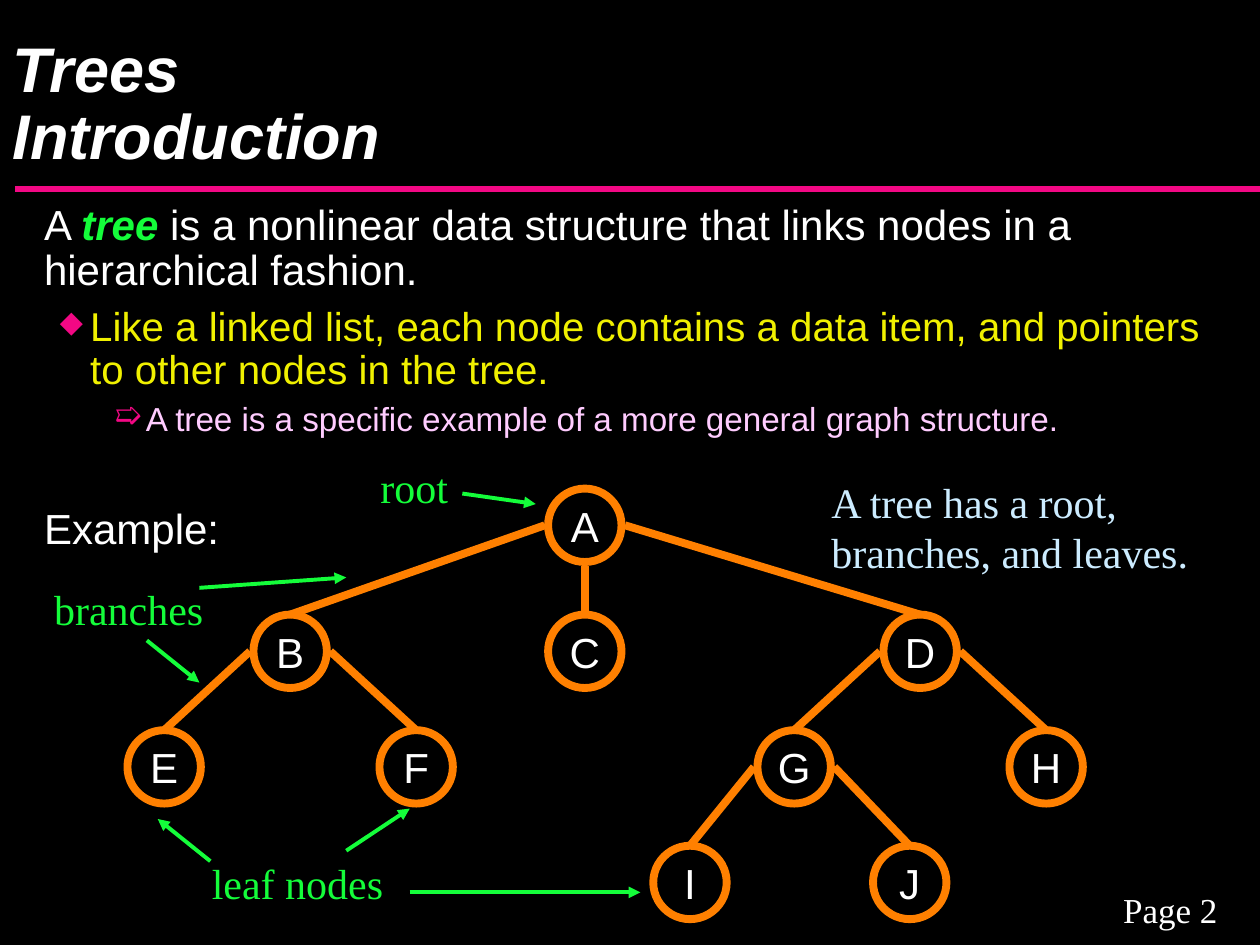
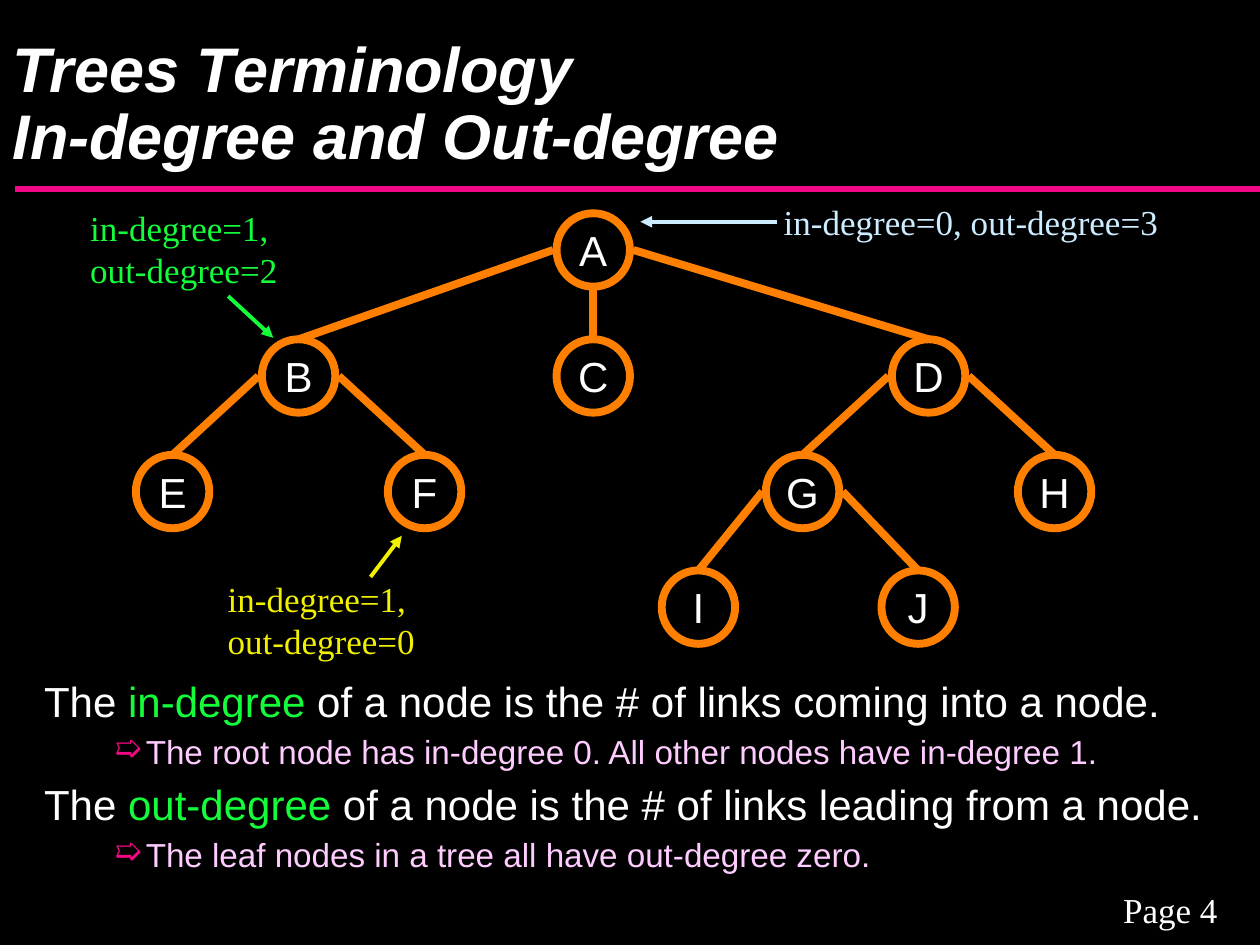
from dataclasses import dataclass

from lxml import etree
from pptx import Presentation
from pptx.dml.color import RGBColor
from pptx.enum import shapes, text
from pptx.oxml import ns
from pptx.util import Cm, Pt


@dataclass(frozen=True)
class Theme:
    black: str = "000000"
    white: str = "FFFFFF"
    pink: str = "F20884"
    green: str = "14FD3A"
    yellow: str = "F0F000"
    lilac: str = "FFCCFF"
    sky: str = "CCECFF"
    orange: str = "FF8000"
    sans: str = "Arial"
    serif: str = "Times New Roman"
    title: int = 36
    statement: int = 24
    point: int = 23
    detail: int = 19
    note: int = 20
    line_spacing: float = 0.89
    space_share: float = 0.3  # space before, as a share of the type size


THEME = Theme()

# level: (size, colour, left margin cm, hanging indent cm, bullet, bullet size %)
LEVELS = {
    "statement": (THEME.statement, THEME.white, 0.64, 0, None, None),
    "point": (THEME.point, THEME.yellow, 1.57, 0.61, "◆", 75),
    "detail": (THEME.detail, THEME.lilac, 2.69, 0.64, "➯", 100),
}

# Each node: (parent, cm to the right of the parent); None is the root
TREE = {
    "A": (None, 0),
    "B": ("A", -5.94), "C": ("A", 0), "D": ("A", 6.76),
    "E": ("B", -2.54), "F": ("B", 2.54),
    "G": ("D", -2.54), "H": ("D", 2.54),
    "I": ("G", -2.1), "J": ("G", 2.33),
}
LEVEL_DROPS = [0, 2.54, 4.87, 7.2]
RADIUS = 0.74
EDGE_GAP = 0.07

# body: (top cm, [(level, [(words, highlight)])])
# notes: (words, size, colour, (left, top, width, height), [(x1, y1, x2, y2)])
SLIDES = [
    {
        "title": "Trees\vIntroduction",
        "page": "Page 2",
        "root": (11.79, 10.59),
        "body": [
            (4.01, [
                ("statement", [("A ", None), ("tree ", "strong"),
                               ("is a nonlinear data structure that links nodes in a "
                                "hierarchical fashion.", None)]),
                ("point", [("Like a linked list, each node contains a data item, and "
                            "pointers to other nodes in the tree.", None)]),
                ("detail", [("A tree is a specific example of a more general graph "
                             "structure.", None)]),
            ]),
            (10.12, [("statement", [("Example:", None)])]),
        ],
        "notes": [
            ("A tree has a root, branches, and leaves.", THEME.statement, THEME.sky,
             (16.51, 9.47, 8.89, 2.29), []),
            ("root", THEME.statement, THEME.green, (7.42, 9.17, 2.11, 1.27),
             [(9.32, 9.95, 10.8, 10.16)]),
            ("branches", THEME.statement, THEME.green, (0.84, 11.63, 5.51, 1.27),
             [(2.96, 12.91, 4.02, 13.76), (4.02, 11.85, 6.98, 11.64)]),
            ("leaf nodes", THEME.statement, THEME.green, (4.02, 17.15, 5.51, 1.27),
             [(4.24, 17.36, 3.18, 16.51), (6.98, 17.15, 8.26, 16.3),
              (8.26, 17.99, 12.91, 17.99)]),
        ],
    },
    {
        "title": "Trees Terminology\vIn-degree and Out-degree",
        "page": "Page 4",
        "root": (11.96, 5.04),
        "body": [
            (13.61, [
                ("statement", [("The ", None), ("in-degree", "colour"),
                               (" of a node is the # of links coming into a node.", None)]),
                ("detail", [("The root node has in-degree 0. All other nodes have "
                             "in-degree 1.", None)]),
                ("statement", [("The ", None), ("out-degree", "colour"),
                               (" of a node is the # of links leading from a node.", None)]),
                ("detail", [("The leaf nodes in a tree all have out-degree zero.", None)]),
            ]),
        ],
        "notes": [
            ("in-degree=1, out-degree=2", THEME.note, THEME.green,
             (1.57, 4.04, 4.65, 1.96), [(4.6, 5.97, 5.51, 6.81)]),
            ("in-degree=0, out-degree=3", THEME.note, THEME.sky,
             (15.55, 3.92, 9.53, 1.09), [(15.67, 4.47, 12.91, 4.47)]),
            ("in-degree=1, out-degree=0", THEME.note, THEME.yellow,
             (4.34, 11.51, 4.65, 1.96), [(7.47, 11.63, 8.1, 10.8)]),
        ],
    },
]


def rgb(colour):
    return RGBColor.from_string(colour)


def style(font, size, colour, name):
    font.size, font.name = Pt(size), name
    font.color.rgb = rgb(colour)


def add_line(slide, start, end, colour, width, arrow=False):
    line = slide.shapes.add_connector(
        shapes.MSO_CONNECTOR.STRAIGHT, *(Cm(v) for v in (*start, *end)))
    line.line.color.rgb = rgb(colour)
    line.line.width = Pt(width)
    if arrow:
        etree.SubElement(line.line._get_or_add_ln(), ns.qn("a:tailEnd"), type="triangle")
    etree.SubElement(line._element.spPr, ns.qn("a:effectLst"))


def add_box(slide, place, anchor=text.MSO_ANCHOR.TOP):
    frame = slide.shapes.add_textbox(*(Cm(v) for v in place)).text_frame
    frame.word_wrap = True
    frame.vertical_anchor = anchor
    return frame


def add_frame(slide, title, page):
    """Title, rule under it and page label, the same on every slide."""
    heading = slide.shapes.title
    heading.left, heading.top, heading.width, heading.height = Cm(0), Cm(0), Cm(25.4), Cm(3.61)
    frame = heading.text_frame
    frame.text = title
    frame.auto_size = text.MSO_AUTO_SIZE.NONE
    frame.vertical_anchor = text.MSO_ANCHOR.BOTTOM
    words = frame.paragraphs[0]
    words.alignment = text.PP_ALIGN.LEFT
    words.line_spacing = THEME.line_spacing
    style(words.font, THEME.title, THEME.white, THEME.sans)
    words.font.bold = words.font.italic = True

    add_line(slide, (0.3, 3.81), (25.4, 3.81), THEME.pink, 3.75)

    label = add_box(slide, (21.79, 17.78, 3.61, 1.09)).paragraphs[0]
    label.text = page
    label.alignment = text.PP_ALIGN.CENTER
    style(label.font, THEME.note, THEME.white, THEME.serif)


def set_bullet(paragraph, margin, hang, bullet, percent):
    props = paragraph._p.get_or_add_pPr()
    props.set("marL", str(Cm(margin)))
    props.set("indent", str(-Cm(hang)))
    if bullet:
        colour = etree.SubElement(props, ns.qn("a:buClr"))
        etree.SubElement(colour, ns.qn("a:srgbClr"), val=THEME.pink)
        etree.SubElement(props, ns.qn("a:buSzPct"), val=str(percent * 1000))
        etree.SubElement(props, ns.qn("a:buChar"), char=bullet)


def add_body(slide, top, items):
    frame = add_box(slide, (0, top, 24.97, 17.78 - top))
    for i, (level, pieces) in enumerate(items):
        size, colour, *bullet = LEVELS[level]
        paragraph = frame.add_paragraph() if i else frame.paragraphs[0]
        paragraph.line_spacing = THEME.line_spacing
        if i:
            paragraph.space_before = Pt(round(size * THEME.space_share, 1))
        set_bullet(paragraph, *bullet)
        style(paragraph.font, size, colour, THEME.sans)
        for words, highlight in pieces:
            run = paragraph.add_run()
            run.text = words
            if highlight:
                run.font.color.rgb = rgb(THEME.green)
            if highlight == "strong":
                run.font.bold = run.font.italic = True


def node_centres(root):
    centres, depths = {}, {}
    for name, (parent, shift) in TREE.items():
        depths[name] = depths[parent] + 1 if parent else 0
        x = centres[parent][0] if parent else root[0]
        centres[name] = (x + shift, root[1] + LEVEL_DROPS[depths[name]])
    return centres


def add_node(slide, name, x, y):
    node = slide.shapes.add_shape(
        shapes.MSO_SHAPE.OVAL, Cm(x - RADIUS), Cm(y - RADIUS), Cm(2 * RADIUS), Cm(2 * RADIUS))
    node.shadow.inherit = False
    node.fill.background()
    node.line.color.rgb = rgb(THEME.orange)
    node.line.width = Pt(4.5)
    frame = node.text_frame
    frame.word_wrap = False
    frame.margin_left = frame.margin_right = frame.margin_top = frame.margin_bottom = 0
    frame.vertical_anchor = text.MSO_ANCHOR.MIDDLE
    letter = frame.paragraphs[0]
    letter.text = name
    letter.alignment = text.PP_ALIGN.CENTER
    style(letter.font, THEME.statement, THEME.white, THEME.sans)


def add_tree(slide, root):
    centres = node_centres(root)
    for name, centre in centres.items():
        add_node(slide, name, *centre)
    reach = RADIUS + EDGE_GAP
    for name, (parent, shift) in TREE.items():
        if not parent:
            continue
        x, y = centres[parent]
        if shift:
            start = (x + (reach if shift > 0 else -reach), y)
        else:
            start = (x, y + reach)
        child_x, child_y = centres[name]
        add_line(slide, start, (child_x, child_y - RADIUS), THEME.orange, 4.5)


def add_note(slide, words, size, colour, place, arrows):
    note = add_box(slide, place, text.MSO_ANCHOR.MIDDLE).paragraphs[0]
    note.text = words
    style(note.font, size, colour, THEME.serif)
    for x1, y1, x2, y2 in arrows:
        add_line(slide, (x1, y1), (x2, y2), colour, 2.25, arrow=True)


def main():
    deck = Presentation()
    deck.slide_width, deck.slide_height = Cm(25.4), Cm(19.05)
    backdrop = deck.slide_master.background.fill
    backdrop.solid()
    backdrop.fore_color.rgb = rgb(THEME.black)
    for content in SLIDES:
        slide = deck.slides.add_slide(deck.slide_layouts.get_by_name("Title Only"))
        add_frame(slide, content["title"], content["page"])
        for top, items in content["body"]:
            add_body(slide, top, items)
        add_tree(slide, content["root"])
        for note in content["notes"]:
            add_note(slide, *note)
    deck.save("out.pptx")


if __name__ == "__main__":
    main()
